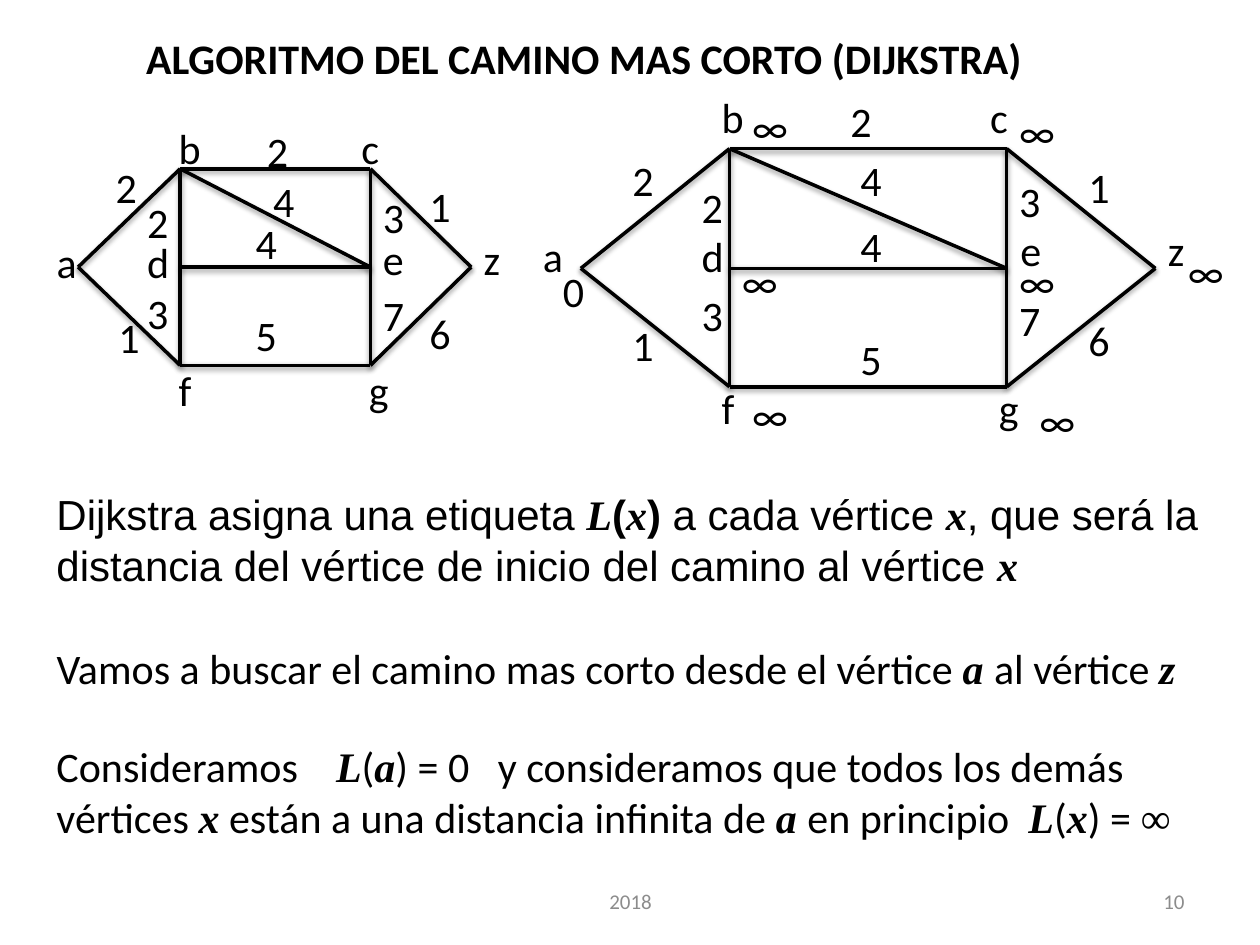
from dataclasses import dataclass

from lxml import etree
from pptx import Presentation
from pptx.dml.color import RGBColor
from pptx.enum.shapes import MSO_CONNECTOR
from pptx.enum.text import MSO_ANCHOR, PP_ALIGN
from pptx.oxml.ns import qn
from pptx.util import Inches, Pt

STRAIGHT = MSO_CONNECTOR.STRAIGHT
TOP, MIDDLE = MSO_ANCHOR.TOP, MSO_ANCHOR.MIDDLE
LEFT, CENTER, RIGHT = PP_ALIGN.LEFT, PP_ALIGN.CENTER, PP_ALIGN.RIGHT


@dataclass(frozen=True)
class Theme:
    """Colours, fonts and sizes of the slide."""
    ink: RGBColor = RGBColor(0, 0, 0)
    muted: RGBColor = RGBColor(0x8C, 0x8C, 0x8C)
    body: str = "Calibri"
    sans: str = "Arial"
    math: str = "Times New Roman"
    size: int = 24
    small: int = 12
    line: int = 2


THEME = Theme()
ROWS = {"b": 0, "c": 0, "a": 1, "d": 1, "e": 1, "z": 1, "f": 2, "g": 2}
COLUMNS = {"a": 0, "b": 1, "d": 1, "f": 1, "c": 2, "e": 2, "g": 2, "z": 3}
EDGES = "bc de fg bf cg be ab af gz cz".split()

LEFT_GRAPH = dict(xs=(0.62, 1.43, 2.94, 3.74), ys=(1.34, 2.12, 2.9), box=(0.32, 0.42), labels=[
    ("a", 0.35, 1.83), ("b", 1.32, 0.92), ("c", 2.77, 0.92), ("d", 1.07, 1.83),
    ("f", 1.32, 2.84), ("g", 2.83, 2.84), ("e", 2.94, 1.8), ("z", 3.74, 1.8),
    ("2", 0.82, 1.23), ("2", 1.07, 1.51), ("2", 2.02, 0.95), ("1", 0.84, 2.42),
    ("1", 3.31, 1.38), ("4", 2.07, 1.34), ("4", 1.93, 1.68), ("5", 1.93, 2.41),
    ("3", 2.94, 1.47), ("7", 2.94, 2.25), ("6", 3.31, 2.39), ("3", 1.07, 2.23),
])
RIGHT_GRAPH = dict(xs=(4.61, 5.79, 7.99, 9.17), ys=(1.18, 2.13, 3.07), box=(0.47, 0.5), labels=[
    ("a", 4.21, 1.78), ("b", 5.63, 0.68), ("c", 7.76, 0.68), ("d", 5.47, 1.78),
    ("f", 5.63, 2.99), ("g", 7.83, 2.99), ("e", 8, 1.73), ("z", 9.17, 1.73),
    ("2", 4.92, 1.18), ("2", 5.47, 1.39), ("2", 6.65, 0.71), ("1", 4.92, 2.49),
    ("1", 8.54, 1.23), ("4", 6.73, 1.18), ("4", 6.73, 1.7), ("5", 6.73, 2.6),
    ("3", 7.99, 1.34), ("7", 7.99, 2.29), ("6", 8.54, 2.45), ("3", 5.47, 2.25),
    ("0", 4.37, 2.06),
])
INFINITIES = [(9.33, 1.91), (5.87, 0.76), (7.99, 0.8), (5.79, 1.99),
              (7.99, 1.99), (8.15, 3.09), (5.87, 3.04)]


def add_run(p, text, font=THEME.body, size=THEME.size, color=THEME.ink, bold=False, italic=False):
    """Append one formatted run to a paragraph."""
    r = p.add_run()
    r.text = text
    r.font.name, r.font.size = font, Pt(size)
    r.font.bold, r.font.italic = bold, italic
    r.font.color.rgb = color


def write_text(sp, text, align=LEFT, anchor=TOP, **style):
    """Fill a shape with text in which *x* is mathematics and *(* is bold."""
    tf = sp.text_frame
    tf.word_wrap = True
    tf.vertical_anchor = anchor
    p = tf.paragraphs[0]
    p.alignment = align
    for i, part in enumerate(text.split("*")):
        if not part:
            continue
        if i % 2 == 0:
            add_run(p, part, **style)
        elif part in "()":
            add_run(p, part, **{**style, "bold": True})
        else:
            add_run(p, part, **{**style, "font": THEME.math, "bold": True, "italic": True})


def add_text(s, text, x, y, w, h, **style):
    """Add a text box."""
    sp = s.shapes.add_textbox(Inches(x), Inches(y), Inches(w), Inches(h))
    write_text(sp, text, **style)


def add_title(s, text, x, y, w, h):
    """Place and format the title placeholder."""
    sp = s.shapes.title
    sp.left, sp.top, sp.width, sp.height = Inches(x), Inches(y), Inches(w), Inches(h)
    write_text(sp, text, bold=True)


def add_edge(s, start, end):
    """Draw a graph edge with a soft shadow below it."""
    ends = [Inches(v) for v in (*start, *end)]
    cx = s.shapes.add_connector(STRAIGHT, *ends)
    cx.line.color.rgb = THEME.ink
    cx.line.width = Pt(THEME.line)
    effects = etree.SubElement(cx._element.spPr, qn("a:effectLst"))
    shadow = etree.SubElement(effects, qn("a:outerShdw"), blurRad=str(Pt(3.1)),
                              dist=str(Pt(1.6)), dir="5400000", rotWithShape="0")
    color = etree.SubElement(shadow, qn("a:srgbClr"), val=str(THEME.ink))
    etree.SubElement(color, qn("a:alpha"), val="38000")


def add_graph(s, xs, ys, box, labels):
    """Draw the weighted graph on its columns and rows."""
    nodes = {name: (xs[COLUMNS[name]], ys[ROWS[name]]) for name in ROWS}
    for start, end in EDGES:
        add_edge(s, nodes[start], nodes[end])
    for text, x, y in labels:
        add_text(s, text, x, y, *box)


def main():
    """Build the Dijkstra slide."""
    prs = Presentation()
    prs.slide_width, prs.slide_height = Inches(10), Inches(7.5)
    s = prs.slides.add_slide(prs.slide_layouts[5])
    add_title(s, "ALGORITMO DEL CAMINO MAS CORTO (DIJKSTRA)", 1.06, 0.21, 7.72, 0.5)
    add_text(s, "Dijkstra asigna una etiqueta *L**(**x**)* a cada vértice *x*, que será la "
             "distancia del vértice de inicio del camino al vértice *x*",
             0.35, 3.83, 9.37, 0.91, font=THEME.sans)
    add_graph(s, **LEFT_GRAPH)
    for x, y in INFINITIES:
        add_text(s, "∞", x, y, 0.71, 0.5)
    add_graph(s, **RIGHT_GRAPH)
    add_text(s, "Vamos a buscar el camino mas corto desde el vértice *a *al vértice *z*",
             0.35, 5.05, 9.21, 0.5)
    add_text(s, "Consideramos    *L*(*a*) = 0   y consideramos que todos los demás vértices *x* "
             "están a una distancia infinita de *a *en principio  *L*(*x*) = *∞*",
             0.35, 5.83, 9.13, 0.91)
    footer = dict(anchor=MIDDLE, size=THEME.small, color=THEME.muted)
    add_text(s, "2018", 3.42, 6.95, 3.17, 0.4, align=CENTER, **footer)
    add_text(s, "10", 7.17, 6.95, 2.33, 0.4, align=RIGHT, **footer)
    prs.save("out.pptx")


if __name__ == "__main__":
    main()
